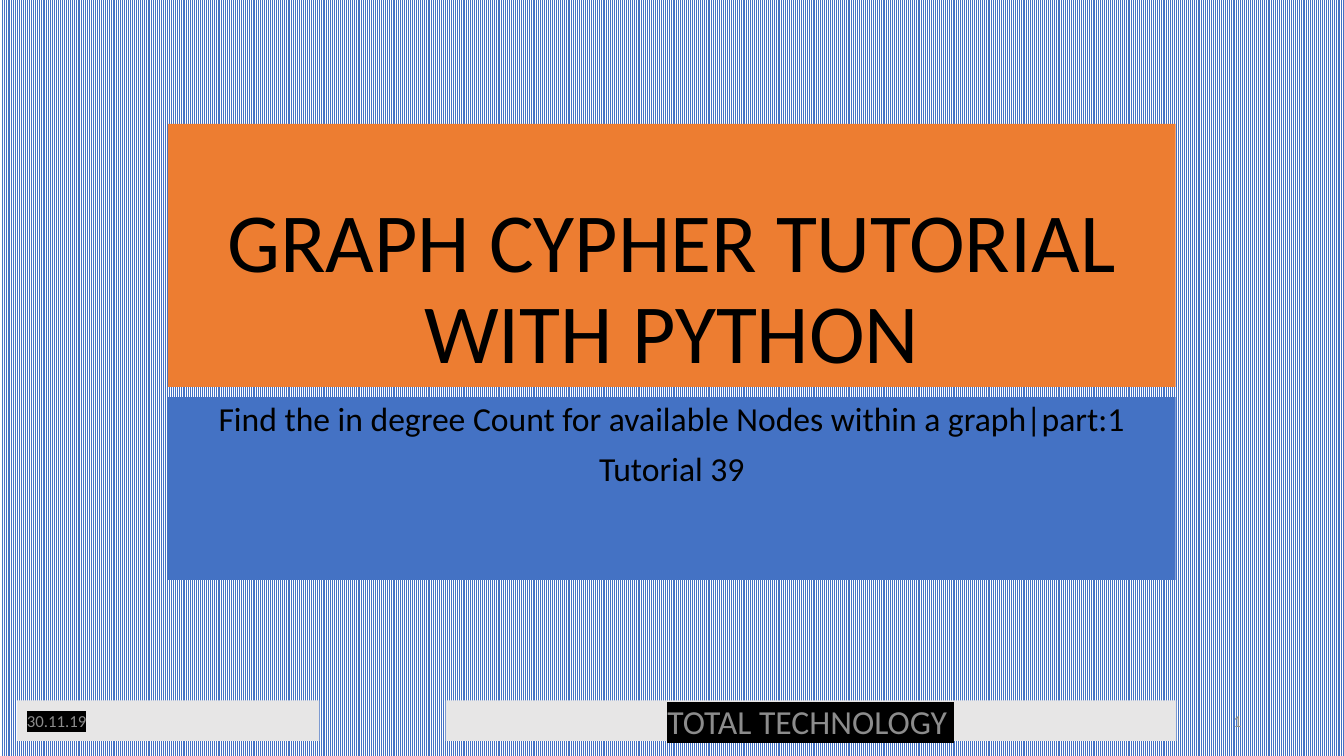
import pptx
import pptx.dml.color
import pptx.enum.dml
import pptx.enum.shapes
import pptx.enum.text
import pptx.oxml.ns
import pptx.util
from lxml import etree
from pptx.dml.color import RGBColor
from pptx.util import Cm

BLACK = RGBColor(0x00, 0x00, 0x00)
WHITE = RGBColor(0xFF, 0xFF, 0xFF)
ORANGE = RGBColor(0xED, 0x7D, 0x31)
BLUE = RGBColor(0x44, 0x72, 0xC4)
PALE_GREY = RGBColor(0xE7, 0xE6, 0xE6)
MID_GREY = RGBColor(0x8C, 0x8C, 0x8C)

ALIGN = pptx.enum.text.PP_ALIGN
ANCHOR = pptx.enum.text.MSO_ANCHOR

CONTENT_LEFT, CONTENT_WIDTH = 4.23, 25.4
FOOTER_TOP, FOOTER_HEIGHT = 17.65, 1.02


def highlight(run, color):
    """Put a marker colour behind the run, directly after its text fill."""
    mark = etree.Element(pptx.oxml.ns.qn("a:highlight"))
    etree.SubElement(mark, pptx.oxml.ns.qn("a:srgbClr"), val=str(color))
    run.font.fill._xPr.find(pptx.oxml.ns.qn("a:solidFill")).addnext(mark)


def write(frame, *lines, size, font, color=BLACK, align=ALIGN.CENTER,
          anchor=ANCHOR.MIDDLE, line_spacing=None, gap=0, marker=None):
    """Fill a text frame with one paragraph per line."""
    frame.word_wrap = True
    frame.auto_size = pptx.enum.text.MSO_AUTO_SIZE.NONE
    frame.vertical_anchor = anchor
    for index, line in enumerate(lines):
        paragraph = frame.add_paragraph() if index else frame.paragraphs[0]
        paragraph.alignment = align
        paragraph.line_spacing = line_spacing
        paragraph.space_before = pptx.util.Pt(gap if index else 0)
        run = paragraph.add_run()
        run.text = line
        run.font.size = pptx.util.Pt(size)
        run.font.name = font
        run.font.color.rgb = color
        if marker is not None:
            highlight(run, marker)


class TitleSlide:
    font = "Calibri"

    def __init__(self, presentation):
        self.slide = presentation.slides.add_slide(presentation.slide_layouts[0])

    def stripes(self, fore, back):
        fill = self.slide.background.fill
        fill.patterned()
        fill.pattern = pptx.enum.dml.MSO_PATTERN.LIGHT_VERTICAL
        fill.fore_color.rgb = fore
        fill.back_color.rgb = back

    def heading(self, index, top, height, fill, *lines, **text_format):
        """Format a title or subtitle placeholder as a filled block."""
        block = self.slide.placeholders[index]
        block.left, block.top = Cm(CONTENT_LEFT), Cm(top)
        block.width, block.height = Cm(CONTENT_WIDTH), Cm(height)
        block.fill.solid()
        block.fill.fore_color.rgb = fill
        write(block.text_frame, *lines, font=self.font, line_spacing=0.9, **text_format)

    def footer_bar(self, left, width, text, **text_format):
        bar = self.slide.shapes.add_shape(
            pptx.enum.shapes.MSO_SHAPE.RECTANGLE,
            Cm(left), Cm(FOOTER_TOP), Cm(width), Cm(FOOTER_HEIGHT))
        bar.shadow.inherit = False
        bar.fill.solid()
        bar.fill.fore_color.rgb = PALE_GREY
        bar.line.fill.background()
        write(bar.text_frame, text, font=self.font, color=MID_GREY,
              marker=BLACK, **text_format)

    def page_number(self, left, width, text):
        number = self.slide.shapes.add_textbox(
            Cm(left), Cm(FOOTER_TOP), Cm(width), Cm(FOOTER_HEIGHT))
        write(number.text_frame, text, font=self.font, size=12,
              color=MID_GREY, align=ALIGN.RIGHT)


def main():
    presentation = pptx.Presentation()
    presentation.slide_width = Cm(33.87)
    presentation.slide_height = Cm(19.05)

    cover = TitleSlide(presentation)
    cover.stripes(BLUE, WHITE)
    cover.heading(0, 3.12, 6.63, ORANGE, "GRAPH CYPHER TUTORIAL WITH PYTHON",
                  size=60, anchor=ANCHOR.BOTTOM)
    cover.heading(1, 10.01, 4.6, BLUE,
                  "Find the in degree Count for available Nodes within a graph|part:1",
                  "Tutorial 39", size=24, anchor=ANCHOR.TOP, gap=10)
    cover.footer_bar(0.43, 7.62, "30.11.19", size=12, align=ALIGN.LEFT)
    cover.footer_bar(11.23, 18.42, "TOTAL TECHNOLOGY ", size=24)
    cover.page_number(23.93, 7.62, "1")

    presentation.save("out.pptx")


if __name__ == "__main__":
    main()
